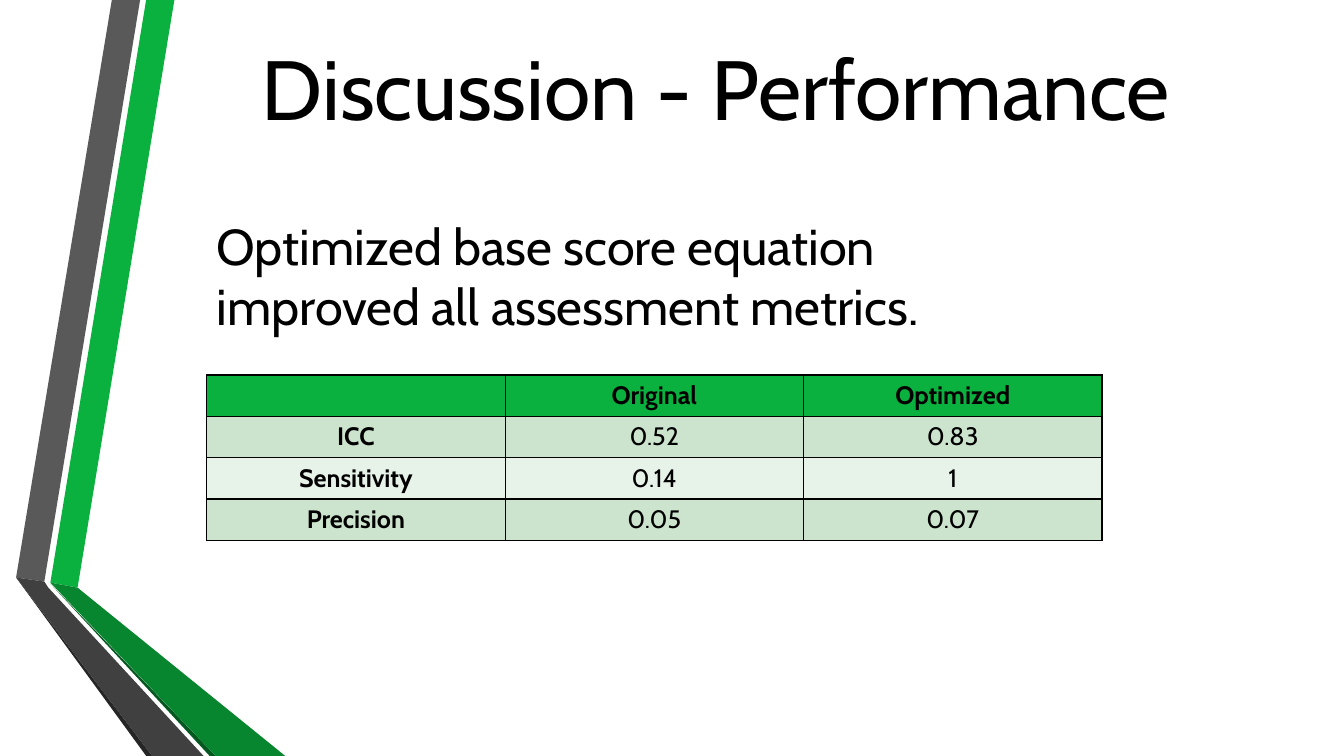
from lxml import etree
from pptx import Presentation
from pptx import util as u
from pptx.dml.color import RGBColor
from pptx.enum import text
from pptx.oxml import ns

FONT = "Cabin"
COLORS = {
    "black": "000000", "green": "0BB13E", "green_shade": "08852F",
    "green_edge": "05581F", "gray": "595959", "gray_shade": "404040",
    "gray_edge": "262626", "band_dark": "CCE4CE", "band_light": "E7F2E8",
}
TITLE = "Discussion - Performance"
STATEMENT = "Optimized base score equation improved all assessment metrics."
METRICS = [
    ("", "Original", "Optimized"),
    ("ICC", "0.52", "0.83"),
    ("Sensitivity", "0.14", "1"),
    ("Precision", "0.05", "0.07"),
]
RIBBONS = [
    ("green", [(0.5, 5.78), (0.77, 5.83), (1.73, 0), (1.45, 0)]),
    ("gray", [(1.39, 0), (1.11, 0), (0.16, 5.73), (0.44, 5.77)]),
    ("gray_edge", [(0.16, 5.73), (1.45, 7.5), (1.51, 7.5)]),
    ("green_edge", [(0.5, 5.79), (2.08, 7.5), (2.14, 7.5)]),
    ("green_shade", [(0.5, 5.78), (2.14, 7.5), (2.83, 7.5), (0.77, 5.83)]),
    ("gray_shade", [(2.02, 7.5), (0.48, 5.83), (0.44, 5.77), (0.16, 5.73),
                    (1.51, 7.5)]),
]
COLUMN_WIDTH, ROW_HEIGHT = 2.96, 0.41


def color(name):
    """Return the named colour."""
    return RGBColor.from_string(COLORS[name])


def write(frame, content, size, bold=False, align=text.PP_ALIGN.CENTER,
          anchor=text.MSO_ANCHOR.MIDDLE):
    """Put formatted text in a text frame and return its paragraph."""
    frame.word_wrap = True
    frame.vertical_anchor = anchor
    paragraph = frame.paragraphs[0]
    paragraph.alignment = align
    run = paragraph.add_run()
    run.text = content
    run.font.name, run.font.size, run.font.bold = FONT, u.Pt(size), bold
    run.font.color.rgb = color("black")
    return paragraph


def place(shape, left, top, width, height):
    """Set position and size of a shape in inches."""
    shape.left, shape.top = u.Inches(left), u.Inches(top)
    shape.width, shape.height = u.Inches(width), u.Inches(height)


def add_ribbon(slide, fill, points):
    """Draw one closed piece of the side ribbons."""
    start, *rest = [(u.Inches(x), u.Inches(y)) for x, y in points]
    builder = slide.shapes.build_freeform(*start)
    builder.add_line_segments(rest, close=True)
    shape = builder.convert_to_shape()
    shape.shadow.inherit = False
    shape.fill.solid()
    shape.fill.fore_color.rgb = color(fill)
    shape.line.fill.background()


def add_borders(cell):
    """Give a cell thin black lines on all four sides."""
    properties = cell._tc.get_or_add_tcPr()
    for index, side in enumerate(("lnL", "lnR", "lnT", "lnB")):
        line = etree.Element(ns.qn(f"a:{side}"), w=str(u.Pt(1)))
        fill = etree.SubElement(line, ns.qn("a:solidFill"))
        etree.SubElement(fill, ns.qn("a:srgbClr"), val=COLORS["black"])
        properties.insert(index, line)


def add_metrics(slide, left, top):
    """Add the table that compares both equations."""
    rows, columns = len(METRICS), len(METRICS[0])
    table = slide.shapes.add_table(
        rows, columns, u.Inches(left), u.Inches(top),
        u.Inches(COLUMN_WIDTH * columns), u.Inches(ROW_HEIGHT * rows)).table
    for column in table.columns:
        column.width = u.Inches(COLUMN_WIDTH)
    for r, values in enumerate(METRICS):
        table.rows[r].height = u.Inches(ROW_HEIGHT)
        band = "green" if r == 0 else ("band_light", "band_dark")[r % 2]
        for c, value in enumerate(values):
            cell = table.cell(r, c)
            cell.fill.solid()
            cell.fill.fore_color.rgb = color(band)
            add_borders(cell)
            cell.vertical_anchor = text.MSO_ANCHOR.MIDDLE
            if value:
                write(cell.text_frame, value, 18, bold=r == 0 or c == 0,
                      anchor=None)


def main():
    """Build the slide and save it."""
    presentation = Presentation()
    presentation.slide_width = u.Inches(13.33)
    presentation.slide_height = u.Inches(7.5)
    slide = presentation.slides.add_slide(presentation.slide_layouts[5])
    for fill, points in RIBBONS:
        add_ribbon(slide, fill, points)

    title = slide.shapes.title
    place(title, 1.62, 0.29, 10.96, 1.15)
    write(title.text_frame, TITLE, 60)

    statement = slide.shapes.add_textbox(0, 0, 0, 0)
    place(statement, 2.05, 2.08, 8.04, 1.38)
    paragraph = write(statement.text_frame, STATEMENT, 36,
                      align=text.PP_ALIGN.LEFT, anchor=text.MSO_ANCHOR.TOP)
    paragraph.space_after = u.Pt(6)

    add_metrics(slide, 2.05, 3.72)
    presentation.save("out.pptx")


main()
